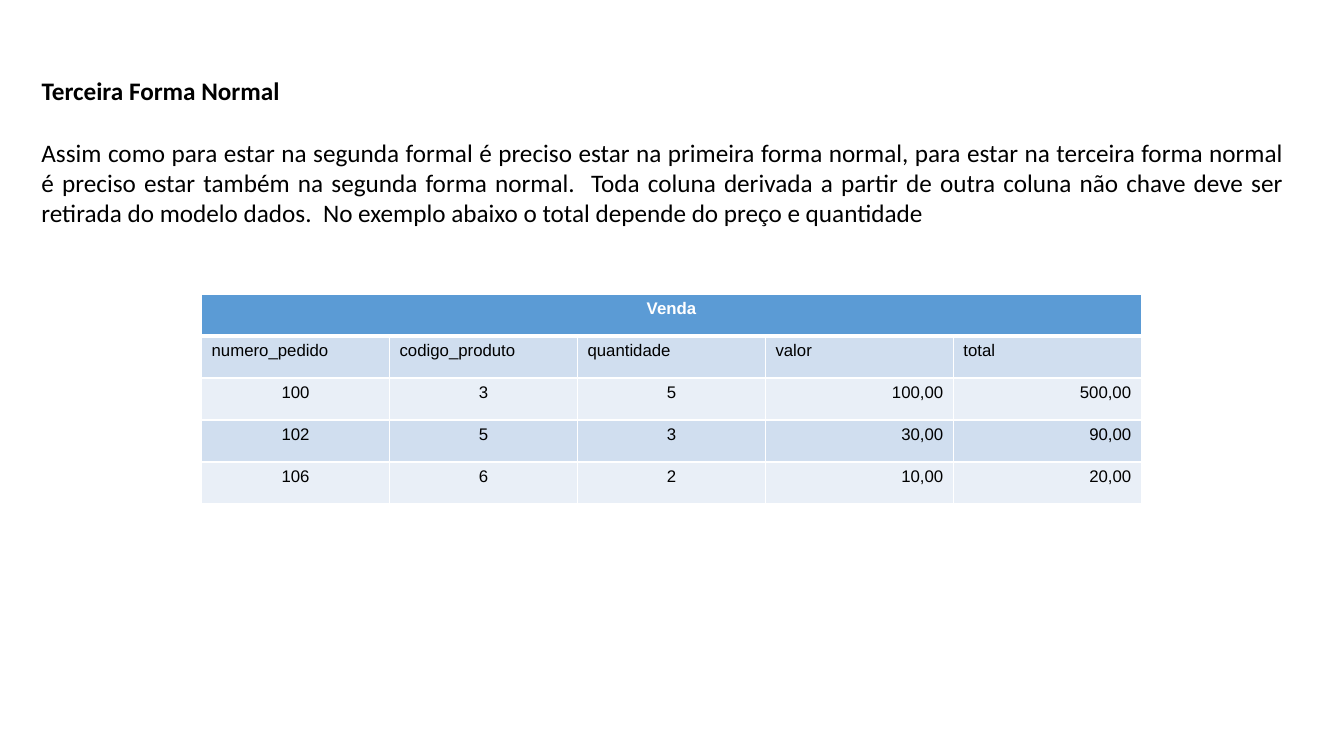
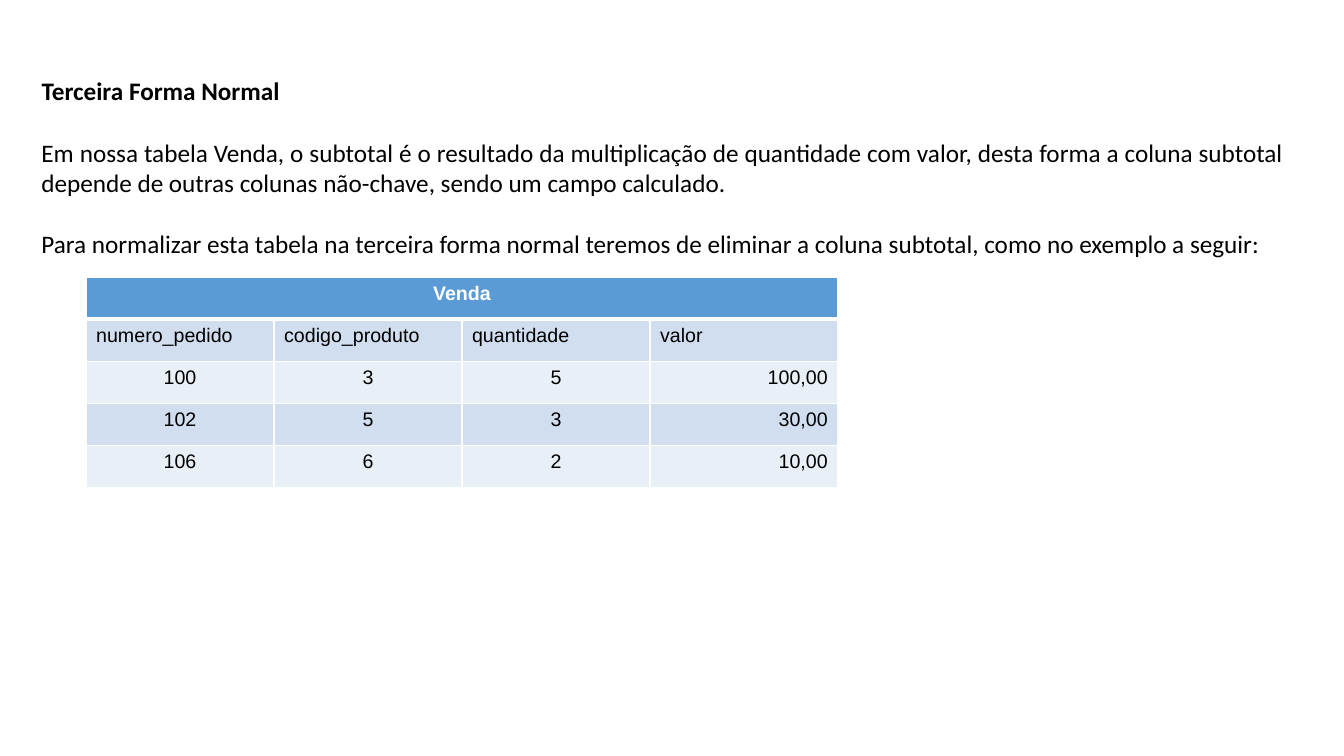
import lxml.etree
import pptx
import pptx.dml.color
import pptx.enum.text
import pptx.oxml.ns
import pptx.util

PX = 9525  # EMU per px, 96 px to the inch
BLACK = pptx.dml.color.RGBColor(0x00, 0x00, 0x00)
WHITE = pptx.dml.color.RGBColor(0xFF, 0xFF, 0xFF)
HEADER = pptx.dml.color.RGBColor(0x5B, 0x9B, 0xD5)
BAND_DARK = pptx.dml.color.RGBColor(0xD0, 0xDE, 0xEF)
BAND_LIGHT = pptx.dml.color.RGBColor(0xE9, 0xEF, 0xF7)

ALIGN = pptx.enum.text.PP_ALIGN
TOP = pptx.enum.text.MSO_ANCHOR.TOP
AUTO_SIZE = pptx.enum.text.MSO_AUTO_SIZE

TITLE = "Terceira Forma Normal"
TEXT_X, TEXT_W = 30, 1202
TITLE_Y, TITLE_H = 67, 38
BODY_Y = 126
COL_W, ROW_H = 179, 40

COLUMNS = ["numero_pedido", "codigo_produto", "quantidade", "valor", "total"]
COLUMN_ALIGN = [ALIGN.CENTER] * 3 + [ALIGN.RIGHT] * 2
ORDERS = [
    ["100", "3", "5", "100,00", "500,00"],
    ["102", "5", "3", "30,00", "90,00"],
    ["106", "6", "2", "10,00", "20,00"],
]

# paragraphs, body height, table left and top, number of columns, table text size
SLIDES = [
    (["Assim como para estar na segunda formal é preciso estar na primeira forma normal, "
      "para estar na terceira forma normal é preciso estar também na segunda forma normal.  "
      "Toda coluna derivada a partir de outra coluna não chave deve ser retirada do modelo "
      "dados.  No exemplo abaixo o total depende do preço e quantidade"],
     98, 192, 280, 5, 12),
    (["Em nossa tabela Venda, o subtotal é o resultado da multiplicação de quantidade com "
      "valor, desta forma a coluna subtotal depende de outras colunas não-chave, sendo um "
      "campo calculado.",
      "Para normalizar esta tabela na terceira forma normal teremos de eliminar a coluna "
      "subtotal, como no exemplo a seguir:"],
     127, 82, 264, 4, 14),
]


def add_text(p, text, font, size, color, bold, align):
    p.alignment = align
    r = p.add_run()
    r.text = text
    r.font.name = font
    r.font.size = pptx.util.Pt(size)
    r.font.bold = bold
    r.font.color.rgb = color


def set_borders(cell, top, bottom):
    """Draw white borders, with top and bottom widths in points."""
    tcPr = cell._tc.get_or_add_tcPr()
    for i, (side, width) in enumerate([("L", 1), ("R", 1), ("T", top), ("B", bottom)]):
        ln = lxml.etree.Element(pptx.oxml.ns.qn(f"a:ln{side}"), w=str(pptx.util.Pt(width)))
        fill = lxml.etree.SubElement(ln, pptx.oxml.ns.qn("a:solidFill"))
        lxml.etree.SubElement(fill, pptx.oxml.ns.qn("a:srgbClr"), val=str(WHITE))
        tcPr.insert(i, ln)


prs = pptx.Presentation()
prs.slide_width, prs.slide_height = 1280 * PX, 720 * PX

for paragraphs, body_h, table_x, table_y, n_cols, size in SLIDES:
    s = prs.slides.add_slide(prs.slide_layouts[5])

    title = s.shapes.title
    title.left, title.top = TEXT_X * PX, TITLE_Y * PX
    title.width, title.height = TEXT_W * PX, TITLE_H * PX
    tf = title.text_frame
    tf.vertical_anchor = TOP
    tf.auto_size = AUTO_SIZE.NONE
    add_text(tf.paragraphs[0], TITLE, "Calibri", 18, BLACK, True, ALIGN.JUSTIFY)

    body = s.shapes.add_textbox(TEXT_X * PX, BODY_Y * PX, TEXT_W * PX, body_h * PX)
    tf = body.text_frame
    tf.word_wrap = True
    tf.auto_size = AUTO_SIZE.SHAPE_TO_FIT_TEXT
    for i, text in enumerate(paragraphs):
        p = tf.add_paragraph() if i else tf.paragraphs[0]
        if i:
            p.space_before = pptx.util.Pt(22)
        add_text(p, text, "Calibri", 18, BLACK, False, ALIGN.JUSTIFY)

    rows = [COLUMNS] + ORDERS
    n_rows = len(rows) + 1
    table = s.shapes.add_table(n_rows, n_cols, table_x * PX, table_y * PX,
                               n_cols * COL_W * PX, n_rows * ROW_H * PX).table
    for column in table.columns:
        column.width = COL_W * PX
    for row in table.rows:
        row.height = ROW_H * PX

    for i in range(n_rows):
        for j in range(n_cols):
            cell = table.cell(i, j)
            cell.fill.solid()
            cell.fill.fore_color.rgb = HEADER if i == 0 else BAND_DARK if i % 2 else BAND_LIGHT
            set_borders(cell, 3 if i == 1 else 1, 3 if i == 0 else 1)
            if i:
                align = ALIGN.LEFT if i == 1 else COLUMN_ALIGN[j]
                add_text(cell.text_frame.paragraphs[0], rows[i - 1][j],
                         "Arial", size, BLACK, False, align)

    header = table.cell(0, 0)
    header.merge(table.cell(0, n_cols - 1))
    add_text(header.text_frame.paragraphs[0], "Venda", "Arial", size, WHITE, True, ALIGN.CENTER)

prs.save("out.pptx")
